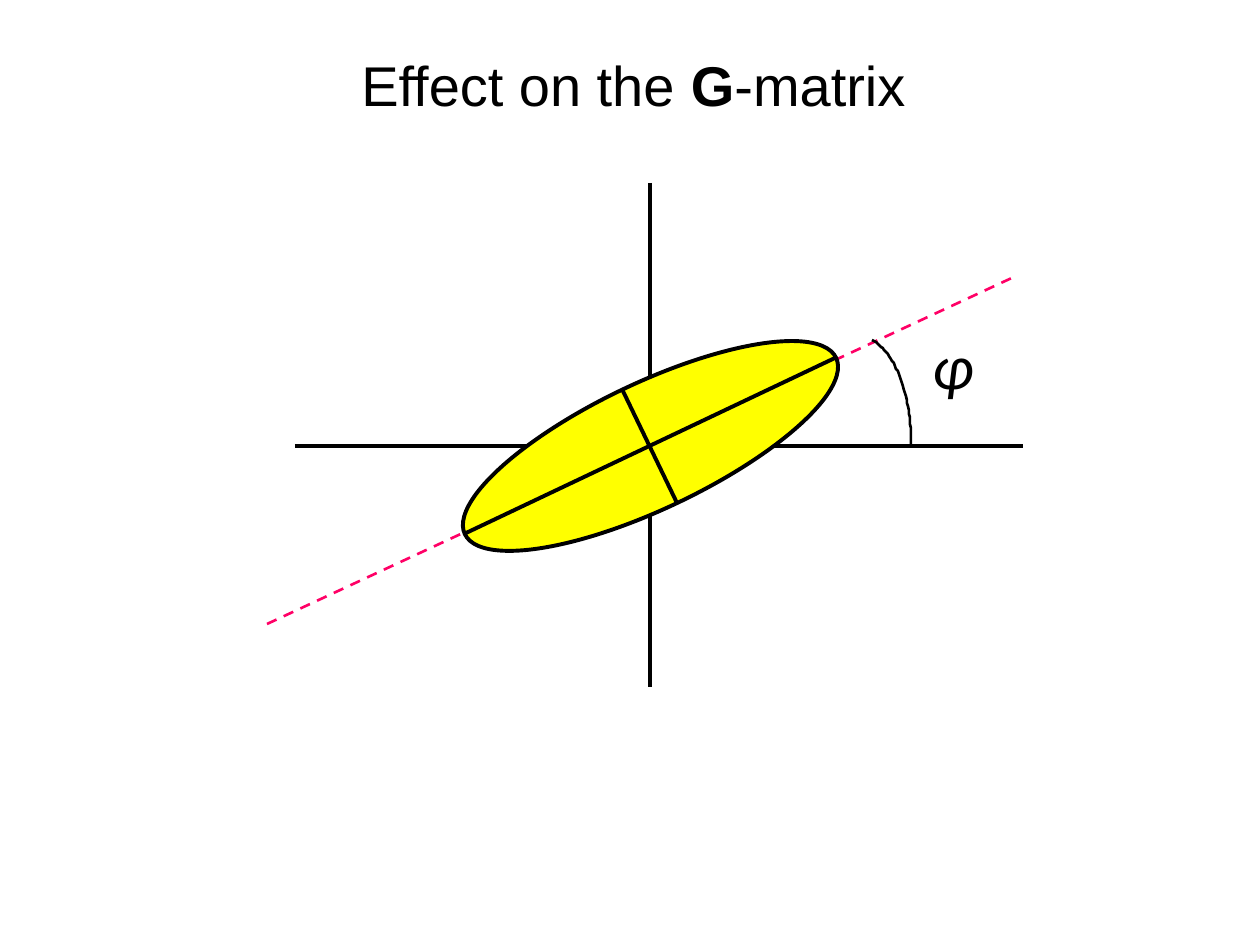
from math import cos, radians, sin

from lxml.etree import SubElement
from pptx import Presentation
from pptx.dml.color import RGBColor
from pptx.enum.dml import MSO_LINE
from pptx.enum.shapes import MSO_CONNECTOR, MSO_SHAPE
from pptx.enum.text import MSO_AUTO_SIZE, PP_ALIGN
from pptx.oxml.ns import qn
from pptx.util import Emu, Pt

BLACK = RGBColor(0, 0, 0)
YELLOW = RGBColor(255, 255, 0)
PINK = RGBColor(255, 0, 102)
PX = 914400 / 126


def px(*lengths):
    return [Emu(round(length * PX)) for length in lengths]


def add_line(shapes, ends, color=BLACK, width=2.25):
    line = shapes.add_connector(MSO_CONNECTOR.STRAIGHT, *px(*ends))
    line.line.color.rgb = color
    line.line.width = Pt(width)
    SubElement(line._element.spPr, qn("a:effectLst"))
    return line


prs = Presentation()
prs.slide_width, prs.slide_height = px(1260, 945)
slide = prs.slides.add_slide(prs.slide_layouts[6])

# Axes, with the direction of the leading eigenvector
direction = add_line(slide.shapes, (267, 624, 1014, 277), PINK, 1.5)
direction.line.dash_style = MSO_LINE.DASH
add_line(slide.shapes, (650, 183, 650, 687))
add_line(slide.shapes, (295, 446, 1023, 446))

# Ellipse of the matrix with its two principal axes
g_matrix = slide.shapes.add_group_shape()
ellipse = g_matrix.shapes.add_shape(MSO_SHAPE.OVAL, *px(445, 383, 411, 126))
ellipse.rotation = 334.6
ellipse.shadow.inherit = False
ellipse.fill.solid()
ellipse.fill.fore_color.rgb = YELLOW
ellipse.line.color.rgb = BLACK
ellipse.line.width = Pt(2.25)
for ends in ((464, 534, 835, 358), (622, 389, 677, 503)):
    add_line(g_matrix.shapes, ends)

# Angle arc, drawn from the dashed line down to the horizontal axis
arc_points = [
    (856 + 55 * cos(radians(angle)), 441 + 106 * sin(radians(angle)))
    for angle in range(-73, 4, 2)
]
builder = slide.shapes.build_freeform(*arc_points[0], scale=PX)
builder.add_line_segments(arc_points[1:], close=False)
angle_arc = builder.convert_to_shape()
angle_arc.shadow.inherit = False
angle_arc.fill.background()
angle_arc.line.color.rgb = BLACK
angle_arc.line.width = Pt(1.5)

# Angle label and title
for box, font_name, size, italic, runs in (
    ((920, 320, 67, 89), "Calibri", 36, True, ["φ"]),
    ((349, 44, 573, 81), "Arial", 32, False, ["Effect on the ", "G", "-matrix"]),
):
    label = slide.shapes.add_textbox(*px(*box))
    frame = label.text_frame
    frame.word_wrap = False
    frame.auto_size = MSO_AUTO_SIZE.SHAPE_TO_FIT_TEXT
    paragraph = frame.paragraphs[0]
    paragraph.alignment = PP_ALIGN.LEFT
    paragraph.font.name = font_name
    paragraph.font.size = Pt(size)
    paragraph.font.italic = italic
    paragraph.font.color.rgb = BLACK
    for text in runs:
        run = paragraph.add_run()
        run.text = text
        if text == "G":
            run.font.bold = True

prs.save("out.pptx")
